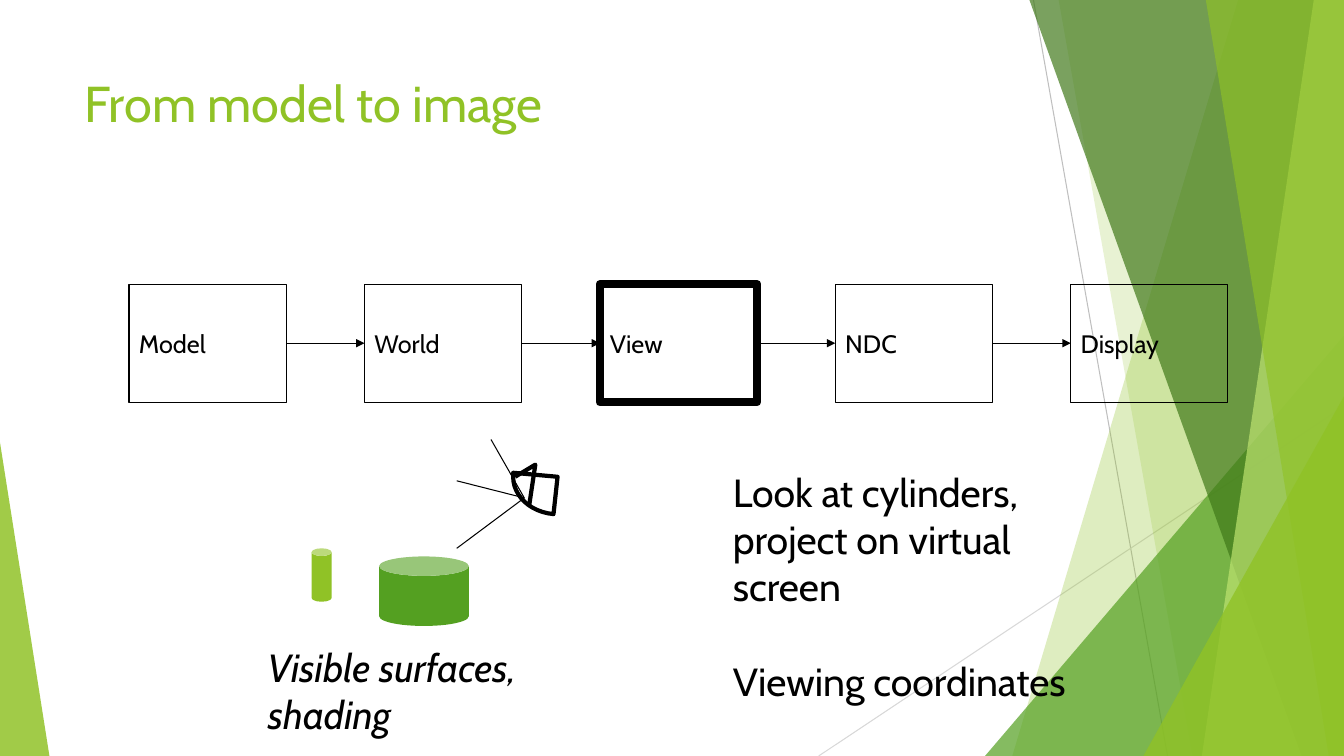
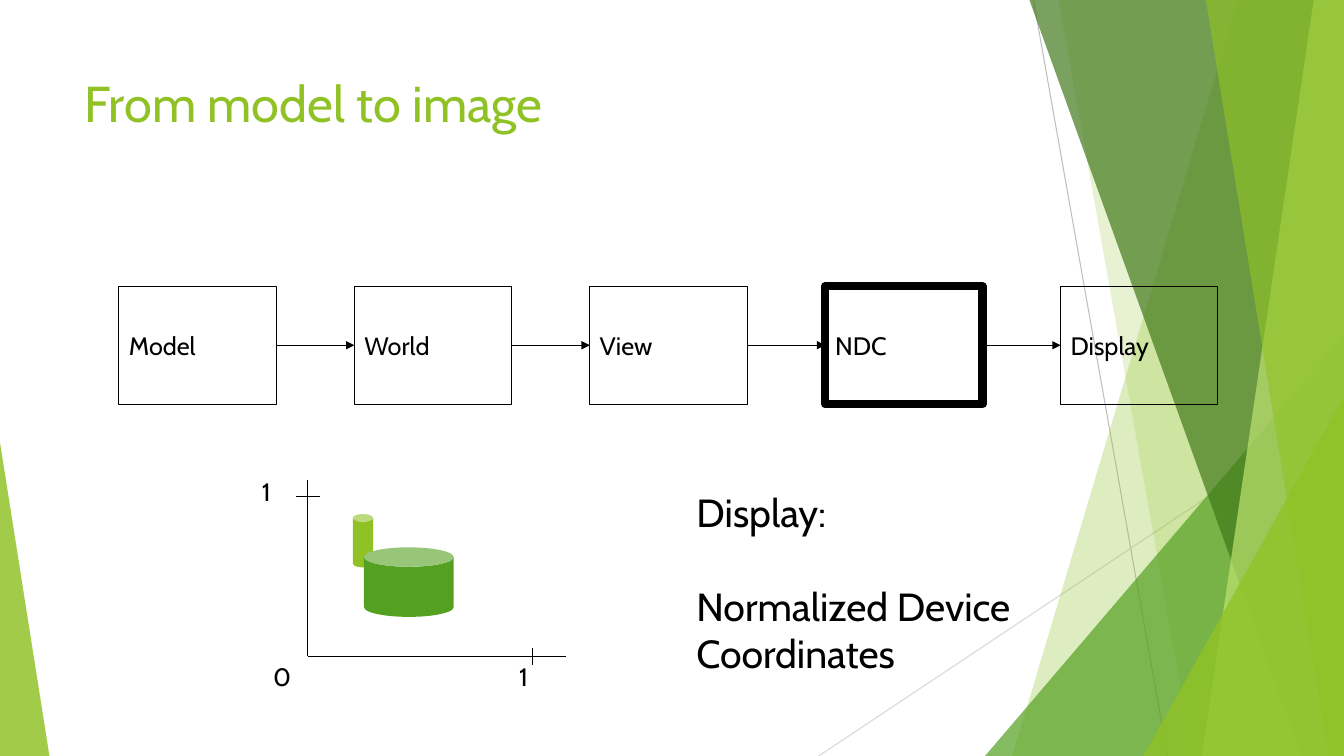
from lxml.etree import SubElement
from pptx import Presentation
from pptx.dml.color import RGBColor
from pptx.enum.shapes import MSO_CONNECTOR, MSO_SHAPE
from pptx.enum.text import MSO_ANCHOR, PP_ALIGN
from pptx.oxml.ns import qn
from pptx.util import Inches, Pt

BLACK = RGBColor(0x00, 0x00, 0x00)
LIME = RGBColor(0x90, 0xC2, 0x26)
GREEN = RGBColor(0x54, 0xA0, 0x21)
FOREST = RGBColor(0x3F, 0x78, 0x18)
PALE = RGBColor(0xBF, 0xE4, 0x71)
GRAY = RGBColor(0xBF, 0xBF, 0xBF)
SILVER = RGBColor(0xD8, 0xD8, 0xD8)
FONT = "Cabin"
WIDE, HIGH = 13.33, 7.5
STAGES = ["Model", "World", "View", "NDC", "Display"]


def write(frame, text, size=18, color=BLACK, italic=False, gap=0,
          anchor=MSO_ANCHOR.TOP):
    """Fill a frame, one paragraph per line; gap goes before the last one."""
    frame.text = text
    frame.word_wrap = True
    frame.vertical_anchor = anchor
    for part in frame.paragraphs:
        part.alignment = PP_ALIGN.LEFT
        font = part.font
        font.name, font.size, font.italic = FONT, Pt(size), italic
        font.color.rgb = color
    if gap:
        frame.paragraphs[-1].space_before = Pt(gap)


def curve(start, pull, push, end, steps=12):
    """Points along a cubic Bezier curve."""
    points = []
    for step in range(steps + 1):
        t = step / steps
        weights = ((1 - t) ** 3, 3 * t * (1 - t) ** 2,
                   3 * t ** 2 * (1 - t), t ** 3)
        points.append(tuple(
            sum(w * p[axis] for w, p in zip(weights, (start, pull, push, end)))
            for axis in (0, 1)))
    return points


class Deck:
    """Holds the shared style and the slide being drawn."""

    def __init__(self):
        self.show = Presentation()
        self.show.slide_width = Inches(WIDE)
        self.show.slide_height = Inches(HIGH)
        self.layout = self.show.slide_layouts[5]
        title = self.layout.placeholders[0]
        title.left, title.top = Inches(0.74), Inches(0.67)
        title.width, title.height = Inches(9.4), Inches(1.44)
        self.slide = None

    def start(self, title):
        first = self.slide is None
        self.slide = self.show.slides.add_slide(self.layout)
        if first:
            self.backdrop()
        write(self.slide.shapes.title.text_frame, title, size=36, color=LIME)

    def backdrop(self):
        """Draw the facets once and move them to the layout."""
        self.line((10.25, 0), (11.58, HIGH), color=GRAY)
        self.line((WIDE, 4.03), (8.12, HIGH), color=SILVER)
        self.facet(12.28, 10.04, LIME, 29)
        self.facet(10.5, 11.83, LIME, 20)
        self.wedge(9.77, 3.33, 3.56, GREEN, 71)
        self.facet(10.21, 12.91, FOREST, 69)
        self.facet(13.03, 11.92, PALE, 69)
        self.facet(11.96, 13.18, LIME, 64)
        self.wedge(11.34, 3.93, 1.99, LIME, 80)
        self.wedge(0, 4.39, 0.49, LIME, 84, peak=0)
        tree = self.layout.placeholders[0].element.getparent()
        for shape in list(self.slide.shapes):
            if not shape.is_placeholder:
                tree.append(shape.element)

    def paint(self, shape, fill=None, alpha=100, line=0):
        shape.shadow.inherit = False
        if fill is None:
            shape.fill.background()
        else:
            shape.fill.solid()
            shape.fill.fore_color.rgb = fill
        if alpha < 100:
            tint = shape.element.spPr.find(".//" + qn("a:srgbClr"))
            SubElement(tint, qn("a:alpha"), val=str(alpha * 1000))
        if line:
            shape.line.color.rgb = BLACK
            shape.line.width = Pt(line)
        else:
            shape.line.fill.background()
        return shape

    def shape(self, kind, left, top, width, height, adjust=None, **style):
        shape = self.slide.shapes.add_shape(
            kind, Inches(left), Inches(top), Inches(width), Inches(height))
        if adjust is not None:
            shape.adjustments[0] = adjust
        return self.paint(shape, **style)

    def outline(self, points, close=True, **style):
        spots = [(Inches(x), Inches(y)) for x, y in points]
        pen = self.slide.shapes.build_freeform(*spots[0])
        pen.add_line_segments(spots[1:], close=close)
        return self.paint(pen.convert_to_shape(), **style)

    def facet(self, top, base, color, alpha):
        """Area from a slanted edge to the right side of the slide."""
        self.outline([(top, 0), (WIDE, 0), (WIDE, HIGH), (base, HIGH)],
                     fill=color, alpha=alpha)

    def wedge(self, left, top, width, color, alpha, peak=1):
        self.shape(MSO_SHAPE.ISOSCELES_TRIANGLE, left, top, width, HIGH - top,
                   adjust=peak, fill=color, alpha=alpha)

    def line(self, start, end, color=BLACK, arrow=False):
        link = self.slide.shapes.add_connector(
            MSO_CONNECTOR.STRAIGHT, *map(Inches, (*start, *end)))
        link.line.color.rgb = color
        link.line.width = Pt(0.75)
        props = link.element.spPr
        if arrow:
            SubElement(props.find(qn("a:ln")), qn("a:tailEnd"), type="triangle")
        SubElement(props, qn("a:effectLst"))
        return link

    def text(self, text, left, top, width, height, **style):
        box = self.slide.shapes.add_textbox(
            Inches(left), Inches(top), Inches(width), Inches(height))
        write(box.text_frame, text, **style)

    def chain(self, left, top, active):
        """Row of linked stages, the active one with a heavy frame."""
        width, height, pitch = 1.56, 1.17, 9.34 / 4
        middle = top + height / 2
        last = None
        for index, name in enumerate(STAGES):
            x = left + index * pitch
            box = self.shape(MSO_SHAPE.RECTANGLE, x, top, width, height,
                             line=6 if name == active else 0.75)
            write(box.text_frame, name, anchor=MSO_ANCHOR.MIDDLE)
            if last is not None:
                link = self.line((x - pitch + width, middle), (x, middle),
                                 arrow=True)
                link.begin_connect(last, 3)
                link.end_connect(box, 1)
            last = box

    def slim(self, left, top):
        self.shape(MSO_SHAPE.CAN, left, top, 0.2, 0.53, adjust=0.38, fill=LIME)

    def broad(self, left, top):
        self.shape(MSO_SHAPE.CAN, left, top, 0.89, 0.69, adjust=0.28, fill=GREEN)

    def eye(self):
        for end in [(4.53, 5.44), (4.87, 4.36), (4.53, 4.77)]:
            self.line((5.2, 4.94), end)
        self.outline([(5.11, 4.73), (5.31, 4.61), (5.25, 5.01)],
                     close=False, line=3)
        lens = curve((5.09, 4.73), (5.09, 4.92), (5.26, 5.08), (5.49, 5.1))
        self.outline([(5.09, 4.69), *lens, (5.53, 4.73)], line=3)

    def axes(self):
        zero = (3.05, 6.51)
        self.line((3.05, 4.76), zero)
        self.line(zero, (5.61, 6.51))
        self.line((5.28, 6.43), (5.28, 6.6))
        self.line((3.17, 4.93), (2.94, 4.93))
        for mark, x, y in [("0", 2.61, 6.51), ("1", 5.05, 6.51),
                           ("1", 2.5, 4.68)]:
            self.text(mark, x, y, 0.32, 0.4)


def main():
    deck = Deck()
    deck.start("From model to image")
    deck.chain(1.28, 2.82, "View")
    deck.text("Look at cylinders,\nproject on virtual screen\nViewing coordinates",
              7.17, 4.6, 3.89, 1.99, size=28, gap=34)
    deck.broad(3.76, 5.52)
    deck.slim(3.09, 5.44)
    deck.eye()
    deck.text("Visible surfaces, shading", 2.56, 6.33, 3.4, 0.57,
              size=28, italic=True)

    deck.start("From model to image")
    deck.chain(1.18, 2.84, "NDC")
    deck.text("Display:\nNormalized Device Coordinates",
              6.81, 4.79, 5.13, 1.51, size=28, gap=34)
    deck.slim(3.5, 5.1)
    deck.broad(3.61, 5.43)
    deck.axes()
    deck.show.save("out.pptx")


if __name__ == "__main__":
    main()
